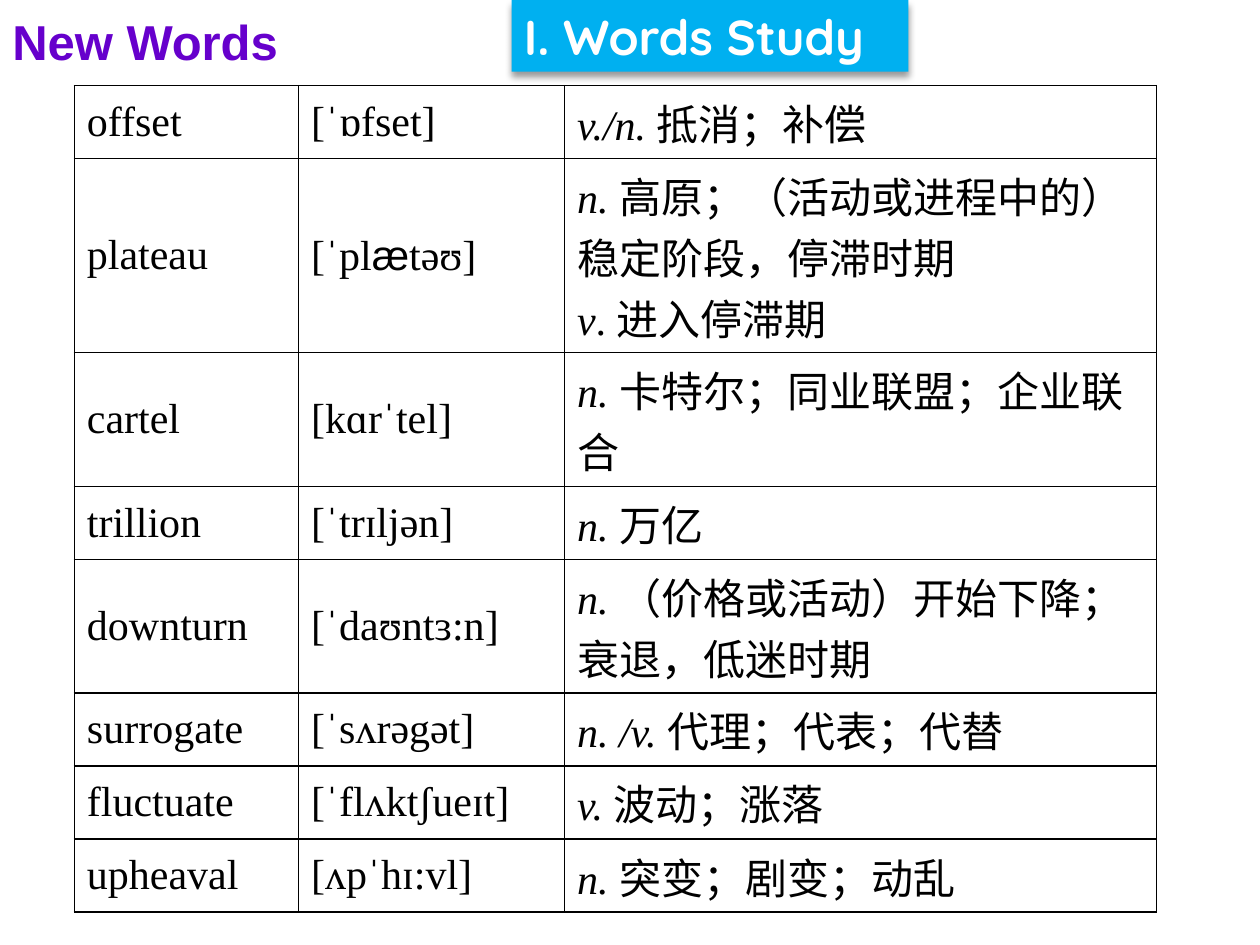
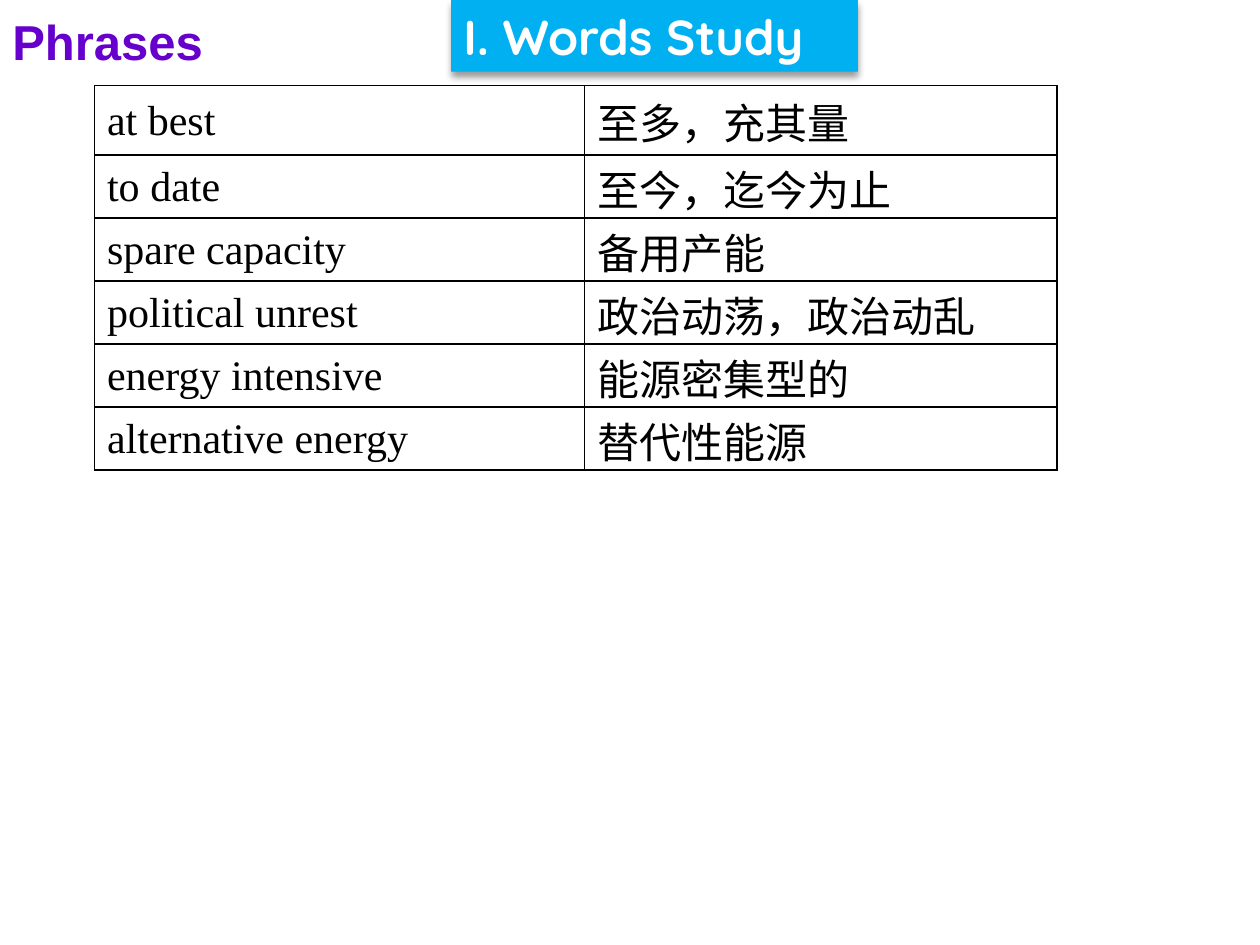
from lxml import etree
from pptx import Presentation
from pptx.dml.color import RGBColor
from pptx.enum.shapes import MSO_SHAPE
from pptx.enum.text import MSO_ANCHOR, PP_ALIGN
from pptx.oxml import parse_xml
from pptx.oxml.ns import nsdecls, qn
from pptx.util import Inches, Pt

RECTANGLE = MSO_SHAPE.RECTANGLE
TOP, MIDDLE = MSO_ANCHOR.TOP, MSO_ANCHOR.MIDDLE
LEFT = PP_ALIGN.LEFT

BLACK, WHITE, PURPLE, SKY = "000000", "FFFFFF", "6600CC", "00B0F0"
HEADING = {"name": "Arial", "size": Pt(28), "bold": True, "color": PURPLE}
BANNER = {"name": "Quicksand", "size": Pt(28), "bold": True, "color": WHITE}
BODY = {"name": "Times New Roman", "size": Pt(24), "color": BLACK}
ITALIC = {"italic": True}
SANS = {"name": "Arial"}

TABLE_TOP = 0.68
CELL_PADDING = 0.1
LINE_HEIGHT = 0.48


def color(hex_string):
    return RGBColor.from_string(hex_string)


# Each sense is a part of speech in italics and its meaning
WORDS = [
    ("offset", "[ˈɒfset]", [("v./n. ", "抵消；补偿")]),
    ("plateau", "[ˈplætəʊ]", [("n. ", "高原；（活动或进程中的）稳定阶段，停滞时期"),
                              ("v", ". 进入停滞期")]),
    ("cartel", "[kɑrˈtel]", [("n. ", "卡特尔；同业联盟；企业联合")]),
    ("trillion", "[ˈtrɪljən]", [("n. ", "万亿")]),
    ("downturn", "[ˈdaʊntɜ:n]", [("n. ", "（价格或活动）开始下降；衰退，低迷时期")]),
    ("surrogate", "[ˈsʌrəgət]", [("n. /v. ", "代理；代表；代替")]),
    ("fluctuate", "[ˈflʌktʃueɪt]", [("v. ", "波动；涨落")]),
    ("upheaval", "[ʌpˈhɪ:vl]", [("n. ", "突变；剧变；动乱")]),
]
MEANING_LINES = [1, 3, 2, 1, 2, 1, 1, 1]

PHRASES = [
    ("at best", "至多，充其量"),
    ("to date", "至今，迄今为止"),
    ("spare capacity", "备用产能"),
    ("political unrest", "政治动荡，政治动乱"),
    ("energy intensive", "能源密集型的"),
    ("alternative energy", "替代性能源"),
]


def plain(text):
    return [[(text, {})]]


def phonetic(text):
    """One paragraph, with the letter æ set in the sans font."""
    before, ash, after = text.partition("æ")
    parts = [(before, {}), (ash, SANS), (after, {})]
    return [[part for part in parts if part[0]]]


def definition(senses):
    return [[(speech, ITALIC), (meaning, {})] for speech, meaning in senses]


class Lesson:
    def __init__(self):
        self.deck = Presentation()
        self.deck.slide_width = Inches(10)
        self.deck.slide_height = Inches(7.5)
        self.slide = None

    def new_slide(self, heading, banner_left, banner_width):
        self.slide = self.deck.slides.add_slide(self.deck.slide_layouts[6])
        self.heading(heading)
        self.banner("I. Words Study", banner_left, banner_width)

    def add_text(self, frame, paragraphs, style):
        """Fill a text frame from paragraphs of (text, format) runs."""
        for index, runs in enumerate(paragraphs):
            paragraph = frame.add_paragraph() if index else frame.paragraphs[0]
            paragraph.alignment = LEFT
            for text, changes in runs:
                run = paragraph.add_run()
                run.text = text
                for key, value in {**style, **changes}.items():
                    if key == "color":
                        run.font.color.rgb = color(value)
                    else:
                        setattr(run.font, key, value)

    def heading(self, text):
        box = self.slide.shapes.add_textbox(0, 0, Inches(2.36), Inches(0.58))
        box.text_frame.word_wrap = True
        box.text_frame.margin_top = Inches(0.09)
        self.add_text(box.text_frame, plain(text), HEADING)

    def banner(self, text, left, width):
        band = self.slide.shapes.add_shape(
            RECTANGLE, Inches(left), 0, Inches(width), Inches(0.57))
        band.fill.solid()
        band.fill.fore_color.rgb = color(SKY)
        band.line.fill.background()
        self.soft_shadow(band)
        band.text_frame.word_wrap = True
        band.text_frame.vertical_anchor = TOP
        self.add_text(band.text_frame, plain(text), BANNER)

    def soft_shadow(self, shape):
        shape.shadow.inherit = False
        effects = shape._element.spPr.find(qn("a:effectLst"))
        effects.append(parse_xml(
            f'<a:outerShdw {nsdecls("a")} blurRad="{Pt(4)}" dist="{Pt(3)}" '
            f'dir="5400000" rotWithShape="0"><a:srgbClr val="{BLACK}">'
            '<a:alpha val="40000"/></a:srgbClr></a:outerShdw>'))

    def borders(self, cell):
        properties = cell._tc.get_or_add_tcPr()
        for side in ("a:lnL", "a:lnR", "a:lnT", "a:lnB"):
            edge = etree.SubElement(properties, qn(side), w=str(Pt(1)))
            fill = etree.SubElement(edge, qn("a:solidFill"))
            etree.SubElement(fill, qn("a:srgbClr"), val=BLACK)

    def table(self, left, widths, heights, rows, margins=None):
        table = self.slide.shapes.add_table(
            len(rows), len(widths), Inches(left), Inches(TABLE_TOP),
            Inches(sum(widths)), Inches(sum(heights))).table
        table.first_row = table.horz_banding = False
        for column, width in zip(table.columns, widths):
            column.width = Inches(width)
        for row, height, contents in zip(table.rows, heights, rows):
            row.height = Inches(height)
            for cell, paragraphs in zip(row.cells, contents):
                cell.vertical_anchor = MIDDLE
                for key, value in (margins or {}).items():
                    setattr(cell, key, value)
                self.borders(cell)
                cell.fill.background()
                self.add_text(cell.text_frame, paragraphs, BODY)


def main():
    lesson = Lesson()

    # New words: spelling, pronunciation, meaning
    lesson.new_slide("New Words", 4.06, 3.15)
    lesson.table(
        0.59, [1.78, 2.11, 4.7],
        [CELL_PADDING + LINE_HEIGHT * lines for lines in MEANING_LINES],
        [(plain(word), phonetic(sound), definition(senses))
         for word, sound, senses in WORDS])

    # Phrases: tighter rows with thin cell margins
    lesson.new_slide("Phrases", 3.58, 3.23)
    lesson.table(
        0.75, [3.89, 3.75], [0.55] + [0.5] * (len(PHRASES) - 1),
        [(plain(phrase), plain(meaning)) for phrase, meaning in PHRASES],
        {"margin_top": Inches(0.02), "margin_bottom": 0})

    lesson.deck.save("out.pptx")


if __name__ == "__main__":
    main()
